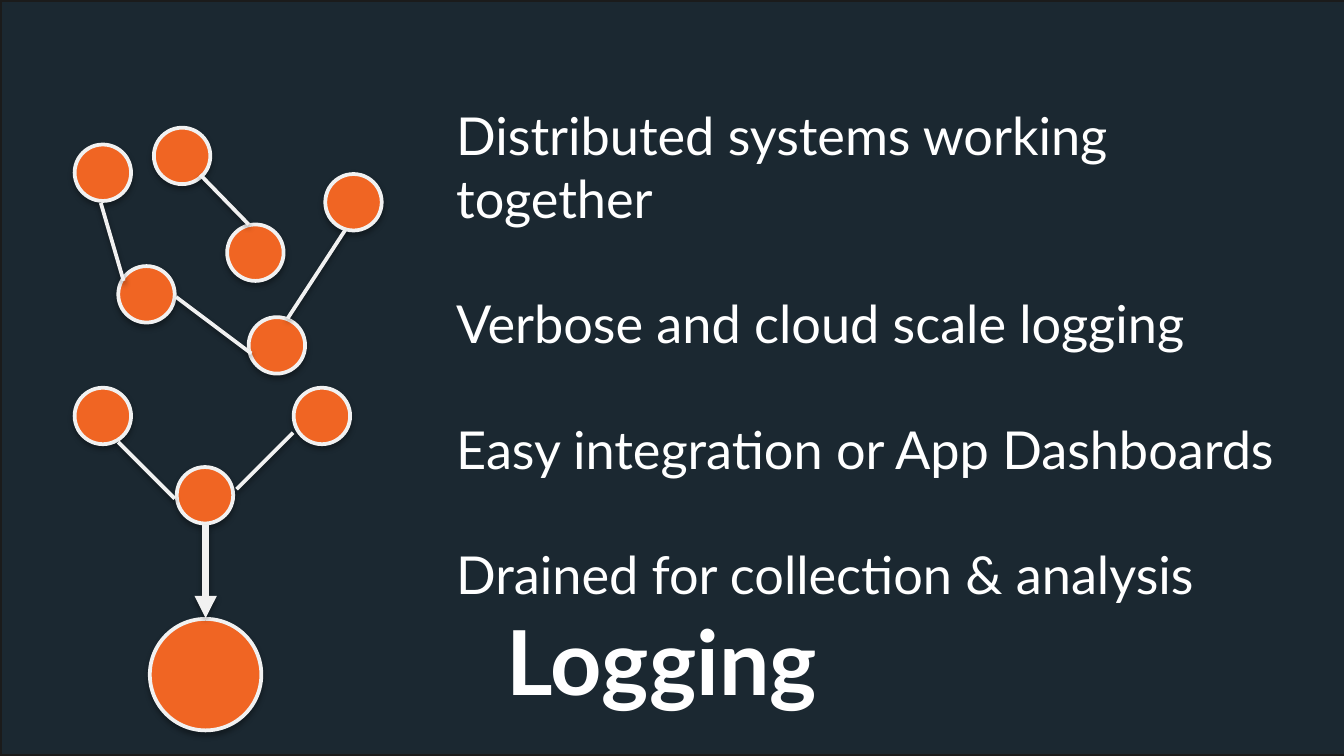
from typing import NamedTuple

from lxml import etree
from pptx import Presentation
from pptx import util as u
from pptx.dml.color import RGBColor
from pptx.enum import shapes, text
from pptx.oxml import parse_xml
from pptx.oxml.ns import nsdecls, qn

WIDTH = u.Inches(10)
HEIGHT = u.Emu(WIDTH * 9 // 16)
COLUMNS = 100
CELL = WIDTH / COLUMNS
FONT = "Lato"
WHITE, PALE, ORANGE, NAVY, BLACK = "FFFFFF", "F1F1F1", "F06523", "1B2831", "1B1B1B"


class Node(NamedTuple):
    column: float
    row: float
    diameter: float = 4.2


class Link(NamedTuple):
    start: tuple[float, float]
    end: tuple[float, float]
    weight: float = 2
    arrow: bool = False


NODES = [
    Node(7.65, 12.85), Node(10.9, 21.9), Node(26.3, 15.05),
    Node(19, 18.8), Node(13.55, 11.6), Node(20.6, 25.7),
    Node(23.95, 30.95), Node(7.65, 30.95), Node(15.25, 36.85),
]
LINKS = [
    Link((13, 37.1), (8.8, 32.9)),
    Link((9.2, 20.9), (7.5, 15.1)),
    Link((18.5, 16.7), (14.9, 13)),
    Link((18.7, 26.3), (13.1, 22.1)),
    Link((17.6, 36.4), (21.8, 32.2)),
    Link((21.4, 23.7), (25.7, 17.1)),
]
COLLECTOR = Node(15.3, 50.2, 8.3)
DRAIN = Link((15.3, 39.1), (15.3, 46), 4, True)
POINTS = [
    "Distributed systems working together",
    "Verbose and cloud scale logging",
    "Easy integration or App Dashboards",
    "Drained for collection & analysis",
]


def cells(count: float) -> u.Emu:
    return u.Emu(round(count * CELL))


def color(value: str) -> RGBColor:
    return RGBColor.from_string(value)


def set_line(line, value: str, weight: float) -> None:
    line.color.rgb = color(value)
    line.width = u.Pt(weight)


def add_shadow(shape, distance: float, opacity: int) -> None:
    shape.element.spPr.append(parse_xml(
        f'<a:effectLst {nsdecls("a")}><a:outerShdw blurRad="{u.Pt(3)}" '
        f'dist="{u.Pt(distance)}" dir="5400000" rotWithShape="0">'
        f'<a:srgbClr val="{"0" * 6}"><a:alpha val="{opacity * 1000}"/></a:srgbClr>'
        '</a:outerShdw></a:effectLst>'))


def add_node(slide, node: Node) -> None:
    radius = node.diameter / 2
    shape = slide.shapes.add_shape(
        shapes.MSO_SHAPE.OVAL, cells(node.column - radius), cells(node.row - radius),
        cells(node.diameter), cells(node.diameter))
    shape.fill.solid()
    shape.fill.fore_color.rgb = color(ORANGE)
    set_line(shape.line, PALE, 2)
    add_shadow(shape, 1.8, 35)


def add_link(slide, link: Link) -> None:
    connector = slide.shapes.add_connector(
        shapes.MSO_CONNECTOR.STRAIGHT, *map(cells, link.start + link.end))
    set_line(connector.line, PALE, link.weight)
    if link.arrow:
        outline = connector.element.spPr.find(qn("a:ln"))
        etree.SubElement(outline, qn("a:tailEnd"), type="triangle")
    add_shadow(connector, 1.6, 38)


def add_backdrop(slide) -> None:
    backdrop = slide.shapes.add_shape(
        shapes.MSO_SHAPE.RECTANGLE, 0, 0, cells(111.2), HEIGHT)
    backdrop.shadow.inherit = False
    backdrop.fill.solid()
    backdrop.fill.fore_color.rgb = color(NAVY)
    set_line(backdrop.line, BLACK, 2)
    slide.shapes.title.element.addprevious(backdrop.element)


def place_text(shape, column: float, row: float, columns: float, rows: float,
               lines: list[str], size: float, wrap: bool, bold: bool = False) -> list:
    shape.left, shape.top = cells(column), cells(row)
    shape.width, shape.height = cells(columns), cells(rows)
    frame = shape.text_frame
    frame.text = "\n".join(lines)
    frame.word_wrap = wrap
    frame.auto_size = text.MSO_AUTO_SIZE.SHAPE_TO_FIT_TEXT
    frame.vertical_anchor = text.MSO_ANCHOR.TOP
    frame.margin_left = frame.margin_right = frame.margin_top = frame.margin_bottom = 0
    for paragraph in frame.paragraphs:
        paragraph.alignment = text.PP_ALIGN.LEFT
        paragraph.font.name = FONT
        paragraph.font.size = u.Pt(size)
        paragraph.font.bold = bold
        paragraph.font.color.rgb = color(WHITE)
    return list(frame.paragraphs)


def main() -> None:
    presentation = Presentation()
    presentation.slide_width, presentation.slide_height = WIDTH, HEIGHT
    slide = presentation.slides.add_slide(presentation.slide_layouts[5])
    add_backdrop(slide)

    for node in NODES:
        add_node(slide, node)
    for link in LINKS:
        add_link(slide, link)

    body = slide.shapes.add_textbox(0, 0, 0, 0)
    points = place_text(body, 33.95, 7.7, 63.3, 36, POINTS, 28, wrap=True)
    for paragraph in points[1:]:
        paragraph.space_before = u.Pt(33.6)

    heading, = place_text(slide.shapes.title, 37.7, 46.6, 24.5, 9.3, ["Logging"], 48,
                          wrap=False, bold=True)
    heading.line_spacing = 0.8
    heading.space_before = u.Pt(5)

    add_node(slide, COLLECTOR)
    add_link(slide, DRAIN)
    presentation.save("out.pptx")


if __name__ == "__main__":
    main()
